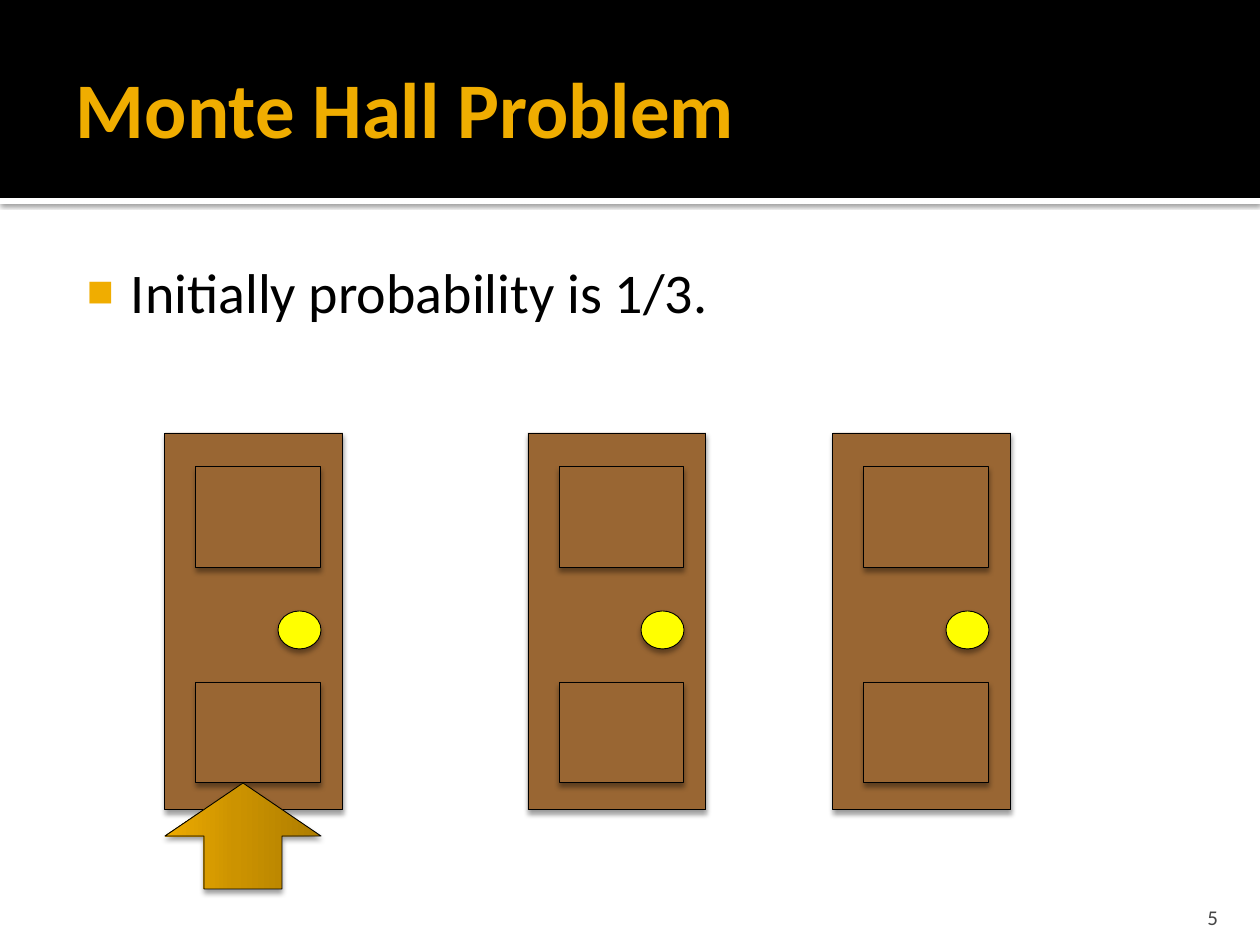
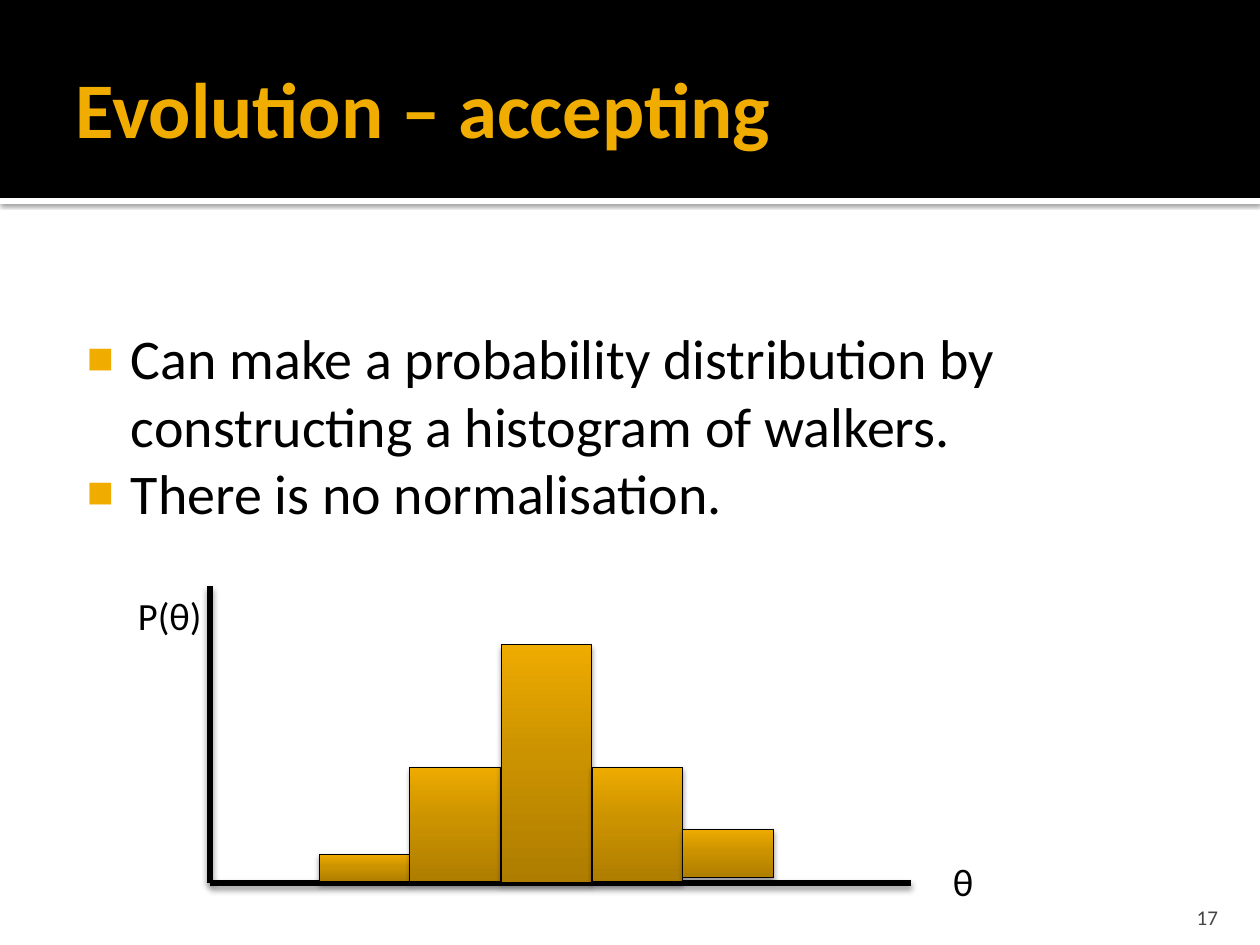
from lxml import etree
from pptx import Presentation, util as u
from pptx.dml.color import RGBColor
from pptx.enum import shapes as s, text as t
from pptx.oxml import parse_xml
from pptx.oxml.ns import nsdecls, qn

GOLD, BLACK, WHITE, GREY = "F0AD00", "000000", "FFFFFF", "454545"
WOOD, KNOB = "996633", "FFFF00"
RAMP = [(0, "AE7D00"), (55, "CC9300"), (100, "EEAB00")]
FONT = "Calibri"
SOFT = (38, 3.1, 2)  # shadow: opacity %, blur pt, distance pt
BOX, OVAL = s.MSO_SHAPE.RECTANGLE, s.MSO_SHAPE.OVAL

# Lengths are px, 126 to the inch.
PAGE = (1260, 945)
DOORS = [165, 528, 833]
DOOR = [  # kind, place within a door, fill
    (BOX, (0, 433, 178, 377), WOOD),
    (OVAL, (113, 611, 43, 38), KNOB),
    (BOX, (31, 467, 125, 101), WOOD),
    (BOX, (31, 683, 125, 100), WOOD),
]
ARROW = (190, 758, 106, 156)
BARS = [(854, 28), (767, 115), (645, 238), (767, 115), (829, 49)]  # top, height
BAR_X, BAR_W = 319, 91
ORIGIN = (210, 883)
AXES = [(210, 586), (911, 883)]
LABELS = [("θ", (940, 852, 47, 59), False), ("P(θ)", (125, 586, 276, 59), True)]
SLIDES = [
    ("Monte Hall Problem", 5, 244, ["Initially probability is 1/3."]),
    ("Evolution – accepting", 17, 311, [
        "Can make a probability distribution by constructing a histogram of walkers.",
        "There is no normalisation."]),
]


def px(n):
    return u.Emu(round(n * 914400 / 126))


def hue(code):
    return RGBColor.from_string(code)


def shade(shape, alpha, blur, dist):
    """Give a shape or connector a shadow that falls straight down."""
    shape.element.spPr.append(parse_xml(
        f'<a:effectLst {nsdecls("a")}><a:outerShdw blurRad="{u.Pt(blur)}" '
        f'dist="{u.Pt(dist)}" dir="5400000" rotWithShape="0"><a:srgbClr val="{BLACK}">'
        f'<a:alpha val="{alpha * 1000}"/></a:srgbClr></a:outerShdw></a:effectLst>'))


def blend(shape):
    """Fill a shape with the gold ramp, dark at its foot."""
    stops = "".join(f'<a:gs pos="{pos * 1000}"><a:srgbClr val="{code}"/></a:gs>'
                    for pos, code in RAMP)
    shape.element.spPr.find(qn("a:prstGeom")).addnext(parse_xml(
        f'<a:gradFill {nsdecls("a")} rotWithShape="1"><a:gsLst>{stops}</a:gsLst>'
        f'<a:lin ang="16200000" scaled="0"/></a:gradFill>'))


def draw(shapes, kind, at, fill=None, line=BLACK, shadow=SOFT):
    """Add a preset shape; without a fill colour it takes the gold ramp."""
    shape = shapes.add_shape(kind, *map(px, at))
    if fill:
        shape.fill.solid()
        shape.fill.fore_color.rgb = hue(fill)
    else:
        blend(shape)
    if line:
        shape.line.color.rgb = hue(line)
        shape.line.width = u.Pt(0.5)
    else:
        shape.line.fill.background()
    if shadow:
        shade(shape, *shadow)
    else:
        shape.shadow.inherit = False
    return shape


def bullet(par):
    props = par._p.get_or_add_pPr()
    props.set("marL", str(px(60)))
    props.set("indent", str(px(-44)))
    colour = etree.SubElement(props, qn("a:buClr"))
    etree.SubElement(colour, qn("a:srgbClr"), val=GOLD)
    etree.SubElement(props, qn("a:buSzPct"), val="80000")
    etree.SubElement(props, qn("a:buFont"), typeface="Arial")
    etree.SubElement(props, qn("a:buChar"), char="■")


def write(shape, lines, size, color=BLACK, bold=False, align="LEFT", anchor="TOP",
          pad=(13, 6, 13, 6), wrap=True, marks=False):
    """Put lines of text in a shape; pad is left, top, right, bottom."""
    frame = shape.text_frame
    frame.auto_size = t.MSO_AUTO_SIZE.NONE
    frame.word_wrap = wrap
    frame.vertical_anchor = t.MSO_ANCHOR[anchor]
    (frame.margin_left, frame.margin_top,
     frame.margin_right, frame.margin_bottom) = map(px, pad)
    frame.text = "\n".join(lines)
    for par in frame.paragraphs:
        par.alignment = t.PP_ALIGN[align]
        font = par.runs[0].font
        font.name, font.size, font.bold = FONT, u.Pt(size), bold
        font.color.rgb = hue(color)
        if marks:
            bullet(par)


def label(shapes, at, lines, size, **form):
    write(shapes.add_textbox(*map(px, at)), lines, size, **form)


def start(deck, title, number, top, points):
    """Add a slide with the shared bands, title, bullets and number."""
    shapes = deck.slides.add_slide(deck.slide_layouts[5]).shapes
    draw(shapes, BOX, (0, 198, 1260, 6), WHITE, line=None, shadow=(60, 2.5, 0.8))
    draw(shapes, BOX, (0, 0, 1260, 198), BLACK, line=None, shadow=None)
    head = shapes.title
    shapes.element.append(head.element)  # in front of the bands
    head.left, head.top, head.width, head.height = map(px, (63, 21, 1134, 173))
    write(head, [title], 45, color=GOLD, bold=True, anchor="MIDDLE", pad=(13, 6, 6, 6))
    label(shapes, (63, top, 1134, 882 - top), points, 32, pad=(8, 13, 13, 6), marks=True)
    label(shapes, (1130, 892, 101, 38), [str(number)], 12, color=GREY,
          align="RIGHT", anchor="BOTTOM", pad=(13, 6, 13, 0))
    return shapes


def doors(shapes):
    for left in DOORS:
        group = shapes.add_group_shape().shapes
        for kind, (x, *rest), fill in DOOR:
            draw(group, kind, (left + x, *rest), fill)
    draw(shapes, s.MSO_SHAPE.RIGHT_ARROW, ARROW).rotation = 270


def graph(shapes):
    for end in AXES:
        axis = shapes.add_connector(s.MSO_CONNECTOR.STRAIGHT, *map(px, ORIGIN + end))
        axis.line.color.rgb = hue(BLACK)
        axis.line.width = u.Pt(3.78)
        shade(axis, 38, 3.5, 2)
    for words, at, wrap in LABELS:
        label(shapes, at, [words], 22, wrap=wrap)
    for i, (top, high) in enumerate(BARS):
        draw(shapes, BOX, (BAR_X + i * BAR_W, top, BAR_W, high))


def main():
    deck = Presentation()
    deck.slide_width, deck.slide_height = map(px, PAGE)
    for page, art in zip(SLIDES, (doors, graph)):
        art(start(deck, *page))
    deck.save("out.pptx")


if __name__ == "__main__":
    main()
